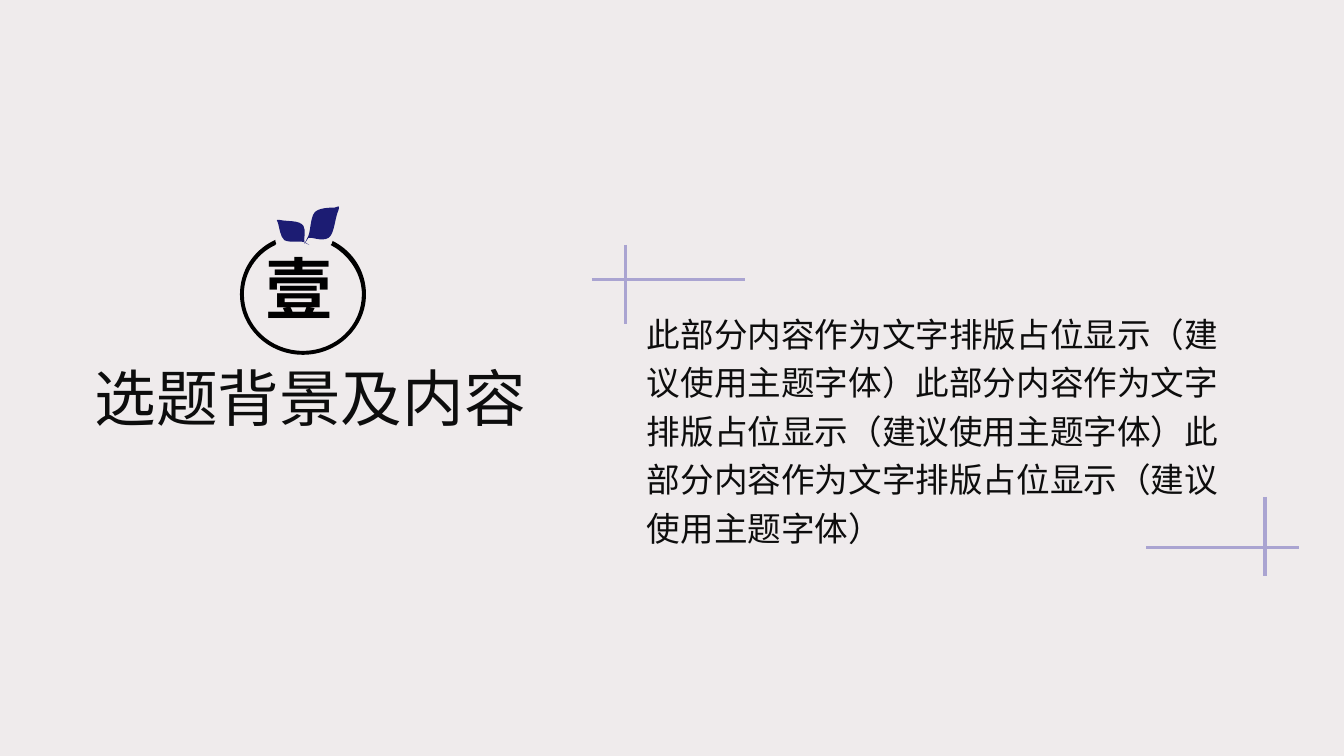
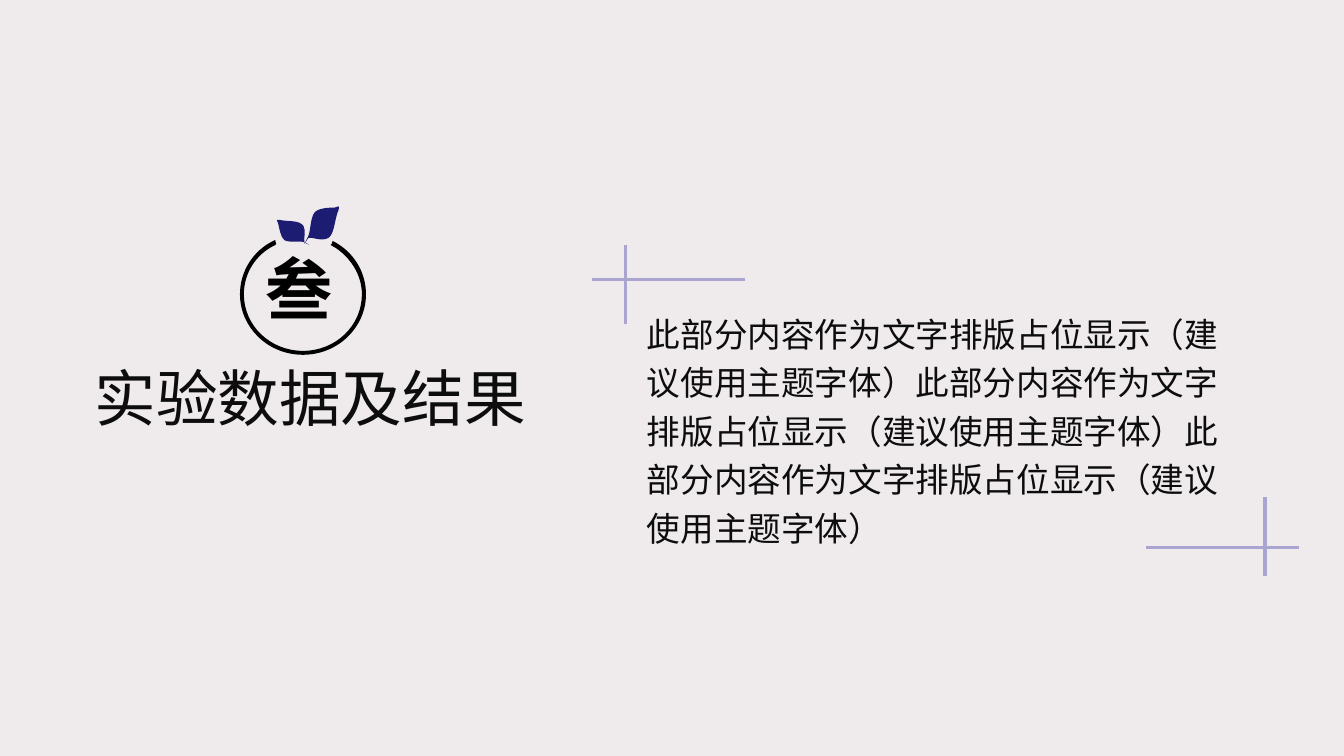
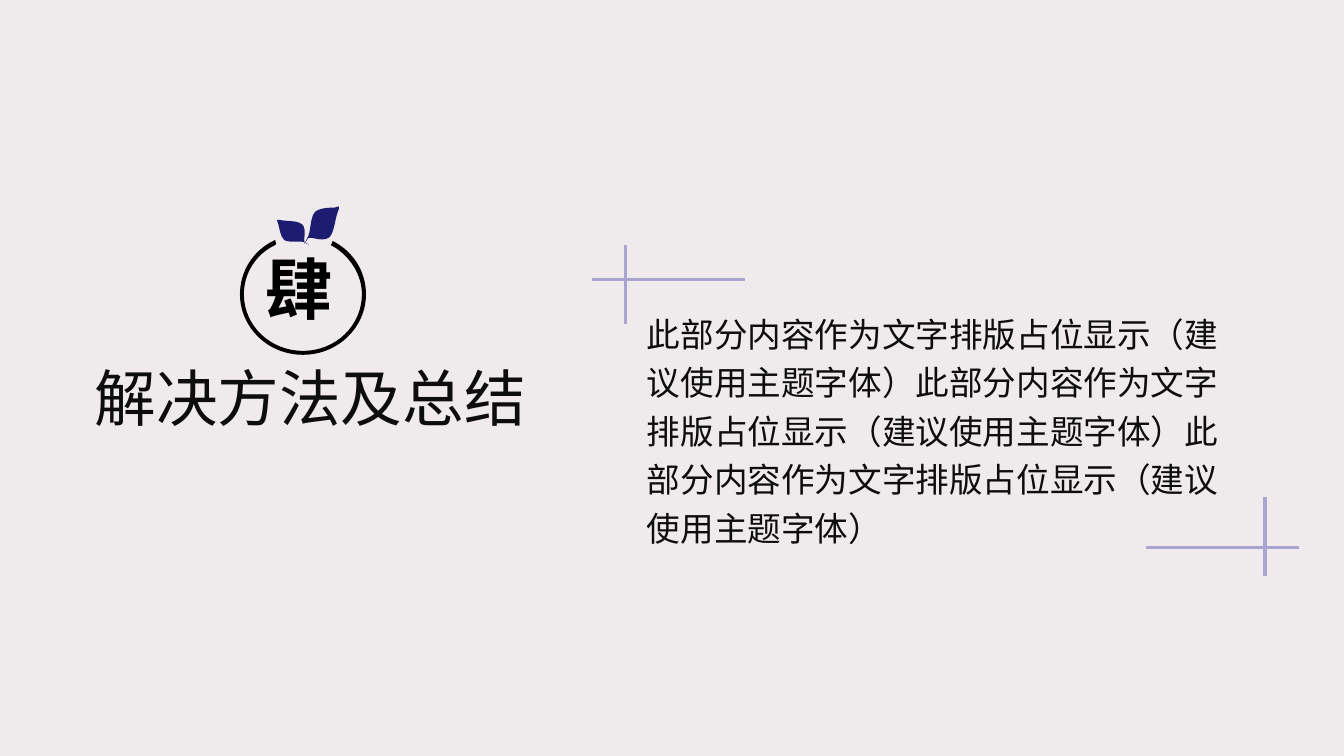
from lxml import etree
from pptx import Presentation
from pptx.dml.color import RGBColor
from pptx.enum import shapes, text
from pptx.oxml.ns import qn
from pptx.util import Pt

BACKGROUND = RGBColor(0xEF, 0xEB, 0xEC)
INK = RGBColor(0x0D, 0x0D, 0x0D)
BLACK = RGBColor(0x00, 0x00, 0x00)
LILAC = RGBColor(0xAA, 0xA4, 0xD1)
NAVY = RGBColor(0x1C, 0x1C, 0x73)
FONT = "Noto Sans CJK SC"

SECTIONS = [
    ("壹", "选题背景及内容"),
    ("叁", "实验数据及结果"),
    ("肆", "解决方法及总结"),
]
BODY = "此部分内容作为文字排版占位显示（建议使用主题字体）" * 3

# Outlines: one point is a straight step, three are a cubic curve
LEFT_LEAF = [
    [(221, 175)],
    [(216.7, 172.8)],
    [(213.8, 172.1), (205.9, 173.5), (203, 171.4)],
    [(200.2, 169.2), (199.4, 162), (198.7, 159.8)],
    [(198, 157), (196.6, 157), (199.4, 157)],
    [(205.2, 158.4), (213.8, 157), (216.7, 161.3)],
    [(218.9, 164.9), (216.7, 170.6), (217.4, 172.8)],
    [(221, 175)],
]
RIGHT_LEAF = [
    [(217.4, 174.2)],
    [(220.3, 168.5)],
    [(221.8, 164.9), (221.8, 155.5), (224.6, 151.9)],
    [(227.5, 148.3), (236.2, 148.3), (239, 148.3)],
    [(241.9, 147.6), (242.6, 146.2), (241.9, 149.8)],
    [(239, 156.2), (239, 167), (234.7, 169.9)],
    [(229.7, 172.8), (223.2, 169.2), (220.3, 169.9)],
    [(217.4, 174.2)],
]
RING = [
    [(196.6, 171.4)],
    [(195.1, 172.1)],
    [(180.7, 179.3), (171.4, 193.7), (171.4, 210.2)],
    [(171.4, 234), (191.5, 253.4), (216.4, 253.4)],
    [(241.2, 253.4), (261.4, 234), (261.4, 210.2)],
    [(261.4, 193.7), (252, 179.3), (237.6, 172.1)],
    [(236.9, 174.2)],
    [(236.2, 175)],
    [(239.8, 177.1)],
    [(250.6, 184.3), (258.5, 196.6), (258.5, 210.2)],
    [(258.5, 232.6), (239.8, 250.6), (216.4, 250.6)],
    [(193, 250.6), (174.2, 232.6), (174.2, 210.2)],
    [(174.2, 195.1), (182.9, 181.4), (196.6, 175)],
    [(197.3, 174.2)],
    [(196.6, 173.5), (196.6, 172.8), (196.6, 172.1)],
]


def write_text(frame, content, size, color=INK, bold=False, align=None, spacing=None):
    frame.word_wrap = True
    frame.auto_size = text.MSO_AUTO_SIZE.SHAPE_TO_FIT_TEXT
    paragraph = frame.paragraphs[0]
    paragraph.alignment = align
    paragraph.line_spacing = spacing
    run = paragraph.add_run()
    run.text = content
    font = run.font
    font.name, font.size, font.bold = FONT, Pt(size), bold
    font.color.rgb = color
    # East Asian glyphs take their own typeface entry
    etree.SubElement(font._element, qn("a:ea"), typeface=FONT)


def bend(shape, steps):
    """Turn each run of three straight segments into one cubic curve."""
    segments = iter(list(shape._element.iter(qn("a:lnTo"))))
    for step in steps:
        lines = [next(segments) for _ in step]
        if len(lines) == 3:
            curve = etree.Element(qn("a:cubicBezTo"))
            lines[0].addprevious(curve)
            for line in lines:
                curve.append(line[0])
                line.getparent().remove(line)


class Deck:
    def __init__(self):
        self.presentation = Presentation()
        self.presentation.slide_width = Pt(960)
        self.presentation.slide_height = Pt(540)
        fill = self.presentation.slide_master.background.fill
        fill.solid()
        fill.fore_color.rgb = BACKGROUND
        self.slide = None

    def add_slide(self):
        self.slide = self.presentation.slides.add_slide(self.presentation.slide_layouts[6])

    def group(self):
        return self.slide.shapes.add_group_shape().shapes

    def text_box(self, parent, left, top, width, height, content, **style):
        box = parent.add_textbox(Pt(left), Pt(top), Pt(width), Pt(height))
        write_text(box.text_frame, content, **style)

    def line(self, parent, x1, y1, x2, y2):
        connector = parent.add_connector(
            shapes.MSO_CONNECTOR.STRAIGHT, Pt(x1), Pt(y1), Pt(x2), Pt(y2))
        connector.line.color.rgb = LILAC
        connector.line.width = Pt(2.25)
        etree.SubElement(connector._element.spPr, qn("a:effectLst"))

    def cross(self, x, y, left_arm, up_arm, width=109.4, height=56.7):
        """Corner mark whose lines meet at x, y."""
        group = self.group()
        self.line(group, x - left_arm, y, x - left_arm + width, y)
        self.line(group, x, y - up_arm, x, y - up_arm + height)

    def outline(self, parent, steps, color):
        points = [(Pt(x), Pt(y)) for step in steps for x, y in step]
        builder = parent.build_freeform(*points[0])
        builder.add_line_segments(points[1:], close=True)
        shape = builder.convert_to_shape()
        bend(shape, steps[1:])
        shape.shadow.inherit = False
        shape.fill.solid()
        shape.fill.fore_color.rgb = color
        shape.line.fill.background()

    def badge(self, number):
        """Fruit with two leaves around the section number."""
        group = self.group()
        for steps, color in ((LEFT_LEAF, NAVY), (RIGHT_LEAF, NAVY), (RING, BLACK)):
            self.outline(group, steps, color)
        self.text_box(group, 182.9, 172.9, 72, 65.4, number,
                      size=48, color=BLACK, bold=True)

    def section(self, number, title):
        self.add_slide()
        self.text_box(self.slide.shapes, 20.4, 253.4, 402.5, 60.5, title, size=44,
                      align=text.PP_ALIGN.CENTER)
        # Corner marks around the body text
        self.cross(447.1, 199.4, left_arm=24.3, up_arm=24.4)
        self.cross(903.6, 390.8, left_arm=84.9, up_arm=35.8)
        self.badge(number)
        self.text_box(self.slide.shapes, 455, 215, 440, 211.7, BODY,
                      size=24, spacing=1.2)


def main():
    deck = Deck()
    for number, title in SECTIONS:
        deck.section(number, title)
    deck.presentation.save("out.pptx")


if __name__ == "__main__":
    main()
